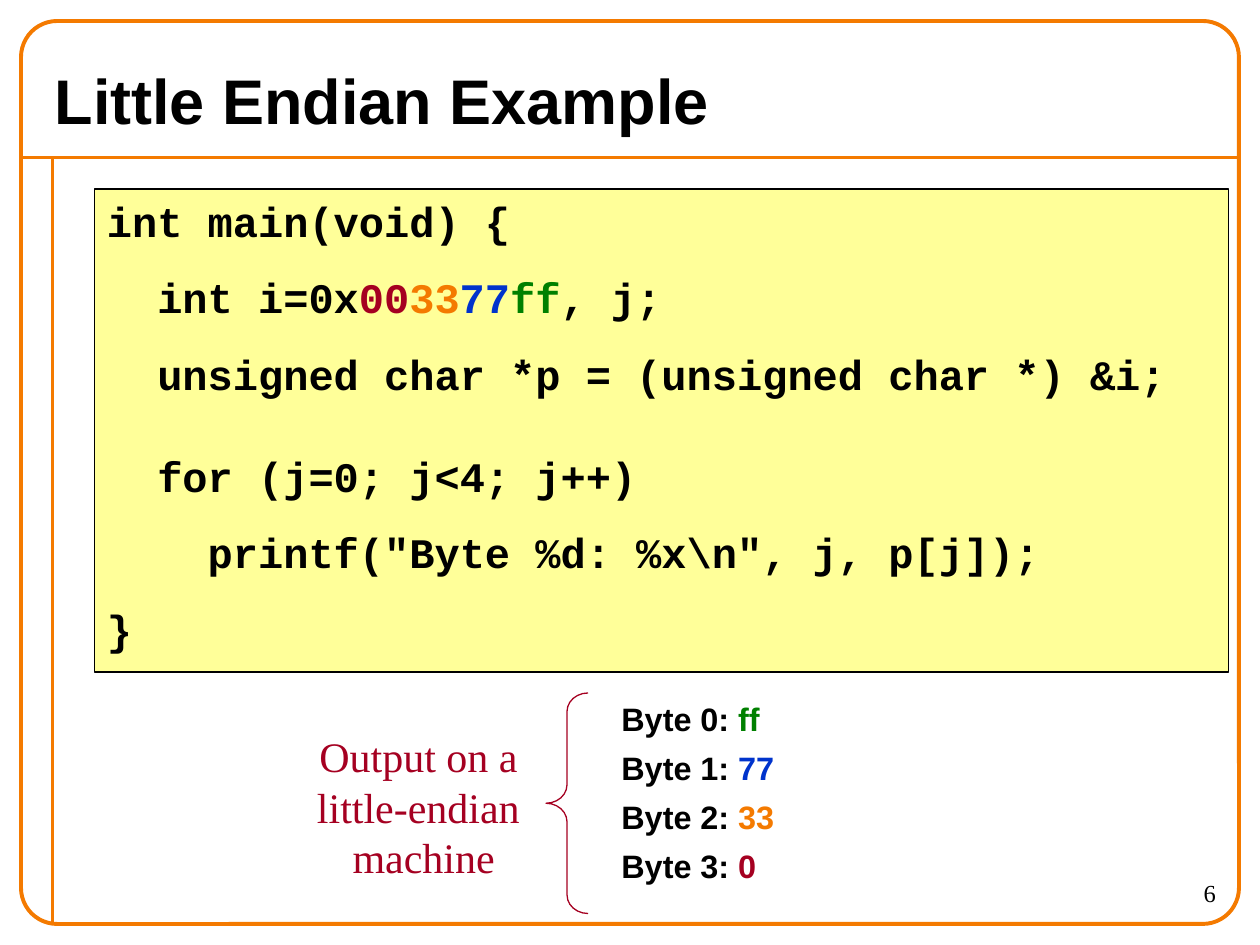
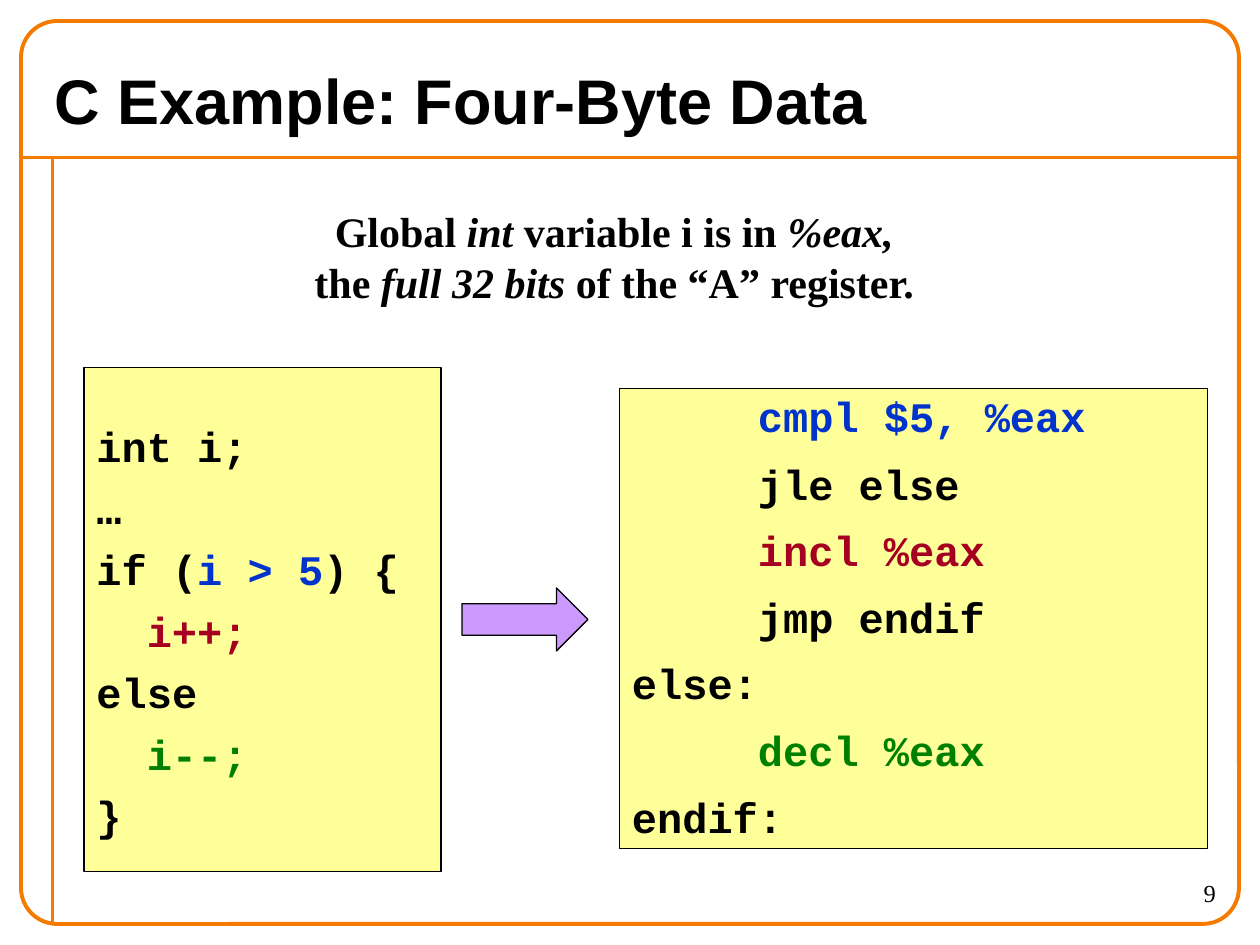
from lxml import etree
from pptx import Presentation
from pptx import util as u
from pptx.dml.color import RGBColor
from pptx.enum import shapes, text
from pptx.oxml.ns import qn

BLACK = RGBColor(0x00, 0x00, 0x00)
ORANGE = RGBColor(0xF4, 0x7A, 0x00)
CRIMSON = RGBColor(0xA5, 0x00, 0x21)
BLUE = RGBColor(0x00, 0x33, 0xCC)
GREEN = RGBColor(0x00, 0x80, 0x00)
CODE_YELLOW = RGBColor(0xFF, 0xFF, 0x99)
LILAC = RGBColor(0xCC, 0x99, 0xFF)
SANS, SERIF, MONO = "Arial", "Times New Roman", "Courier New"
EMU_PER_PX = 7620
LEFT, CENTER, RIGHT = text.PP_ALIGN.LEFT, text.PP_ALIGN.CENTER, text.PP_ALIGN.RIGHT


def px(*lengths):
    return [u.Emu(length * EMU_PER_PX) for length in lengths]


def write(shape, lines, font=SANS, size=24, color=BLACK, bold=False, align=LEFT,
          anchor=text.MSO_ANCHOR.TOP, spacing=None, before=0, top=6, wrap=True):
    frame = shape.text_frame
    frame.word_wrap = wrap
    frame.auto_size = text.MSO_AUTO_SIZE.NONE
    frame.vertical_anchor = anchor
    frame.margin_left, frame.margin_top, frame.margin_right, frame.margin_bottom = px(12, top, 12, 6)
    for row, line in enumerate(lines):
        paragraph = frame.paragraphs[0] if row == 0 else frame.add_paragraph()
        paragraph.alignment = align
        if spacing:
            paragraph.line_spacing = spacing
        paragraph.space_before = u.Pt(before if row else 0)
        spans = [line] if isinstance(line, str) else line
        if any("\t" in span[0] for span in spans):
            stops = etree.SubElement(paragraph._p.get_or_add_pPr(), qn("a:tabLst"))
            for inch in range(1, 4):
                etree.SubElement(stops, qn("a:tab"), pos=str(u.Inches(inch)), algn="l")
        for span in spans:
            words, changes = (span, {}) if isinstance(span, str) else span
            run = paragraph.add_run()
            run.text = words
            run.font.name = font
            run.font.size = u.Pt(changes.get("size", size))
            run.font.bold = bold
            run.font.italic = changes.get("italic", False)
            run.font.color.rgb = changes.get("color", color)


blue, orange, crimson, green = ({"color": c} for c in (BLUE, ORANGE, CRIMSON, GREEN))
italic = {"italic": True}

deck = Presentation()
deck.slide_width, deck.slide_height = px(1200, 900)

pages = []
for heading, number in (("Little Endian Example", "6"), ("C Example: Four-Byte Data", "9")):
    page = deck.slides.add_slide(deck.slide_layouts[5])
    pages.append(page)
    for ends in ((20, 150, 1180, 150), (50, 150, 50, 880)):
        rule = page.shapes.add_connector(shapes.MSO_CONNECTOR.STRAIGHT, *px(*ends))
        rule.line.color.rgb = ORANGE
        rule.line.width = u.Pt(2.25)
        etree.SubElement(rule._element.spPr, qn("a:effectLst"))
    border = page.shapes.add_shape(shapes.MSO_SHAPE.ROUNDED_RECTANGLE, *px(20, 20, 1160, 880 - 20))
    border.adjustments[0] = 0.04
    border.shadow.inherit = False
    border.fill.background()
    border.line.color.rgb = ORANGE
    border.line.width = u.Pt(2.25)
    title = page.shapes.title
    title.left, title.top, title.width, title.height = px(40, 50, 1120, 90)
    write(title, [heading], size=36, bold=True, anchor=text.MSO_ANCHOR.MIDDLE)
    write(page.shapes.add_textbox(*px(1050, 830, 120, 50)), [number], font=SERIF, size=14, align=RIGHT)
endian, four_byte = pages

endian_code = [
    "int main(void) {",
    ["  int i=0x", ("00", crimson), ("33", orange), ("77", blue), ("ff", green), ", j;"],
    "  unsigned char *p = (unsigned char *) &i;",
    "  for (j=0; j<4; j++)",
    '    printf("Byte %d: %x\\n", j, p[j]);',
    "}",
]
assembly_code = [
    [("\t", {"size": 28}), ("cmpl $5, %eax", blue)],
    ["\tjle else"],
    ["\t", ("incl %eax", crimson)],
    ["\tjmp endif"],
    "else:",
    ["\t", ("decl\t%eax", green)],
    "endif:",
]
c_code = [
    "int i;",
    "…",
    ["if (", ("i > 5", blue), ") {"],
    ["  ", ("i++;", crimson)],
    "else",
    ["  ", ("i--;", green)],
    "}",
]
listings = []
for page, place, code, spacing, top in (
    (endian, (90, 180, 1080, 460), endian_code, None, 6),
    (four_byte, (590, 370, 560, 438), assembly_code, 0.8, 6),
    (four_byte, (80, 350, 340, 480), c_code, 0.7, 64),
):
    listing = page.shapes.add_shape(shapes.MSO_SHAPE.RECTANGLE, *px(*place))
    listing.shadow.inherit = False
    listing.fill.solid()
    listing.fill.fore_color.rgb = CODE_YELLOW
    listing.line.color.rgb = BLACK
    listing.line.width = u.Pt(0.75)
    write(listing, code, font=MONO, bold=True, spacing=spacing, before=15, top=top)
    listings.append(listing)
listings[0].text_frame.paragraphs[3].line_spacing = 1.5

output_bytes = [
    [f"Byte {place}: ", (value, accent)]
    for place, (value, accent) in enumerate((("ff", green), ("77", blue), ("33", orange), ("0", crimson)))
]
write(endian.shapes.add_textbox(*px(580, 670, 270, 180)), output_bytes,
      size=18.5, bold=True, spacing=0.7, before=12.5)
write(endian.shapes.add_textbox(*px(290, 690, 227, 156)),
      ["Output on a ", "little-endian ", "machine"],
      font=SERIF, color=CRIMSON, align=CENTER, wrap=False)
brace = endian.shapes.add_shape(shapes.MSO_SHAPE.LEFT_BRACE, *px(520, 660, 40, 210))
brace.adjustments[0] = 0.44
brace.shadow.inherit = False
brace.fill.background()
brace.line.color.rgb = CRIMSON
brace.line.width = u.Pt(0.75)

register_note = [["Global ", ("int", italic), " variable i is in ", ("%eax,", italic),
                  " the ", ("full 32 bits", italic), " of the “A” register."]]
write(four_byte.shapes.add_textbox(*px(280, 190, 610, 108)), register_note,
      font=SERIF, bold=True, align=CENTER)
arrow = four_byte.shapes.add_shape(shapes.MSO_SHAPE.RIGHT_ARROW, *px(440, 560, 120, 60))
arrow.shadow.inherit = False
arrow.fill.solid()
arrow.fill.fore_color.rgb = LILAC
arrow.line.color.rgb = BLACK
arrow.line.width = u.Pt(0.75)

deck.save("out.pptx")
